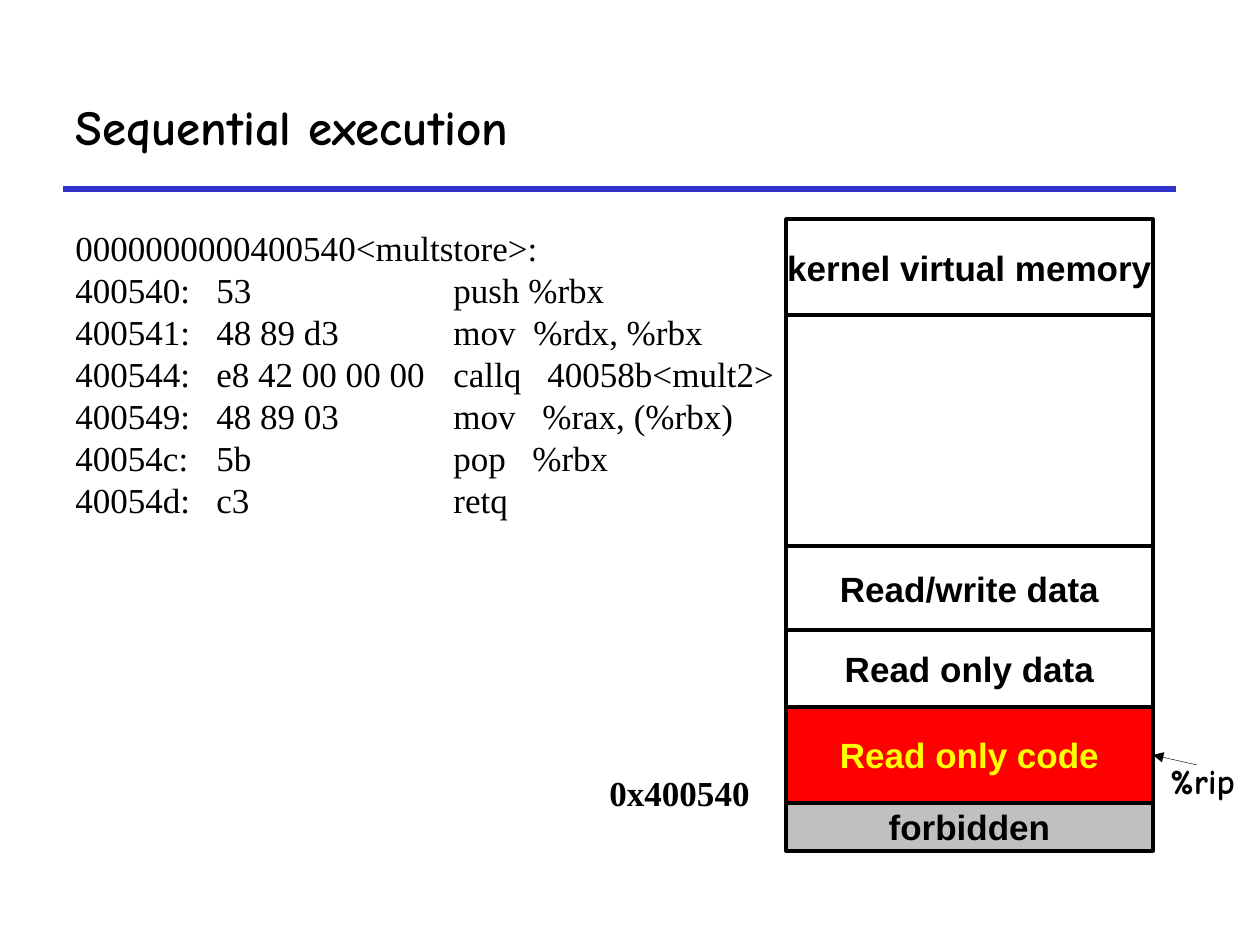
from lxml import etree
from pptx import Presentation
from pptx.dml.color import RGBColor
from pptx.enum.shapes import MSO_CONNECTOR, MSO_SHAPE
from pptx.enum.text import MSO_ANCHOR, MSO_AUTO_SIZE, PP_ALIGN
from pptx.oxml.ns import qn
from pptx.util import Emu, Pt

STRAIGHT = MSO_CONNECTOR.STRAIGHT
RECTANGLE = MSO_SHAPE.RECTANGLE
TOP, MIDDLE = MSO_ANCHOR.TOP, MSO_ANCHOR.MIDDLE
LEFT, CENTER = PP_ALIGN.LEFT, PP_ALIGN.CENTER
GROW = MSO_AUTO_SIZE.SHAPE_TO_FIT_TEXT

PX_PER_INCH = 126
SANS, SERIF, COMIC = "Arial", "Times New Roman", "Comic Neue"
BLACK, WHITE, RED = "000000", "FFFFFF", "FF0000"
YELLOW, GRAY, BLUE = "FFFF00", "C0C0C0", "3333CC"

# Memory regions from back to front: label, top, height, fill, text colour
REGION_LEFT, REGION_WIDTH = 786, 367
REGIONS = [
    ("kernel virtual memory", 219, 96, WHITE, BLACK),
    ("", 315, 273, WHITE, BLACK),
    ("Read only code", 703, 102, RED, YELLOW),
    ("Read only data", 630, 77, WHITE, BLACK),
    ("Read/write data", 546, 84, WHITE, BLACK),
    ("forbidden", 803, 48, GRAY, BLACK),
]

# Disassembly: address, bytes, mnemonic, operands, operand tab stop
BYTES_TAB, MNEMONIC_TAB = 141, 378
INSTRUCTIONS = [
    ("400540:", "53", "push", "%rbx", 453),
    ("400541:", "48 89 d3", "mov", "%rdx, %rbx", 458),
    ("400544:", "e8 42 00 00 00", "callq", "40058b<mult2>", 472),
    ("400549:", "48 89 03", "mov", "%rax, (%rbx)", 467),
    ("40054c:", "5b", "pop", "%rbx", 457),
    ("40054d:", "c3", "retq", "", None),
]


def px(length):
    return Emu(round(length * 914400 / PX_PER_INCH))


def color(value):
    return RGBColor.from_string(value)


def add_run(paragraph, text, font, size=20, text_color=BLACK, bold=False):
    run = paragraph.add_run()
    run.text = text
    run.font.name = font
    run.font.size = Pt(size)
    run.font.bold = bold
    run.font.color.rgb = color(text_color)


def add_text_box(slide, left, top, width, height, anchor=TOP, wrap=True):
    box = slide.shapes.add_textbox(px(left), px(top), px(width), px(height))
    frame = box.text_frame
    frame.word_wrap = wrap
    frame.vertical_anchor = anchor
    return frame


def add_label(slide, text, left, top, width, height, font):
    frame = add_text_box(slide, left, top, width, height, wrap=False)
    frame.auto_size = GROW
    paragraph = frame.paragraphs[0]
    paragraph.alignment = CENTER
    add_run(paragraph, text, font, bold=True)


def add_line(slide, start, end, line_color, width, arrow=False):
    connector = slide.shapes.add_connector(
        STRAIGHT, px(start[0]), px(start[1]), px(end[0]), px(end[1]))
    connector.line.color.rgb = color(line_color)
    connector.line.width = Pt(width)
    properties = connector._element.spPr
    if arrow:
        etree.SubElement(properties.find(qn("a:ln")), qn("a:tailEnd"), type="triangle")
    etree.SubElement(properties, qn("a:effectLst"))


def add_region(slide, label, top, height, fill, text_color):
    shape = slide.shapes.add_shape(
        RECTANGLE, px(REGION_LEFT), px(top), px(REGION_WIDTH), px(height))
    shape.shadow.inherit = False
    shape.fill.solid()
    shape.fill.fore_color.rgb = color(fill)
    shape.line.color.rgb = color(BLACK)
    shape.line.width = Pt(2)
    if label:
        frame = shape.text_frame
        frame.word_wrap = False
        frame.vertical_anchor = MIDDLE
        paragraph = frame.paragraphs[0]
        paragraph.alignment = CENTER
        add_run(paragraph, label, SANS, text_color=text_color, bold=True)


def add_tab_stops(paragraph, stops):
    tab_list = etree.SubElement(paragraph._p.get_or_add_pPr(), qn("a:tabLst"))
    for stop in stops:
        etree.SubElement(tab_list, qn("a:tab"), pos=str(px(stop)), algn="l")


def add_listing(slide):
    frame = add_text_box(slide, 63, 220, 746, 609)
    add_run(frame.paragraphs[0], "0000000000400540<multstore>:", SERIF)
    for *fields, operand_tab in INSTRUCTIONS:
        paragraph = frame.add_paragraph()
        paragraph.alignment = LEFT
        stops = (BYTES_TAB, MNEMONIC_TAB, operand_tab)
        add_tab_stops(paragraph, [stop for stop in stops if stop])
        add_run(paragraph, "\t".join(field for field in fields if field), SERIF)


def main():
    presentation = Presentation()
    presentation.slide_width = px(1260)
    presentation.slide_height = px(945)
    slide = presentation.slides.add_slide(presentation.slide_layouts[6])

    # Title and rule
    add_line(slide, (63, 189), (1176, 189), BLUE, 3)
    title = add_text_box(slide, 63, 63, 1113, 126, MIDDLE)
    add_run(title.paragraphs[0], "Sequential execution", COMIC, size=28, bold=True)

    # Code and memory layout
    add_listing(slide)
    for region in REGIONS:
        add_region(slide, *region)

    # Code address and instruction pointer
    add_label(slide, "0x400540", 593, 765, 173, 55, SERIF)
    add_label(slide, "%rip", 1154, 753, 97, 55, COMIC)
    add_line(slide, (1197, 765), (1153, 755), BLACK, 0.25, arrow=True)

    presentation.save("out.pptx")


if __name__ == "__main__":
    main()
